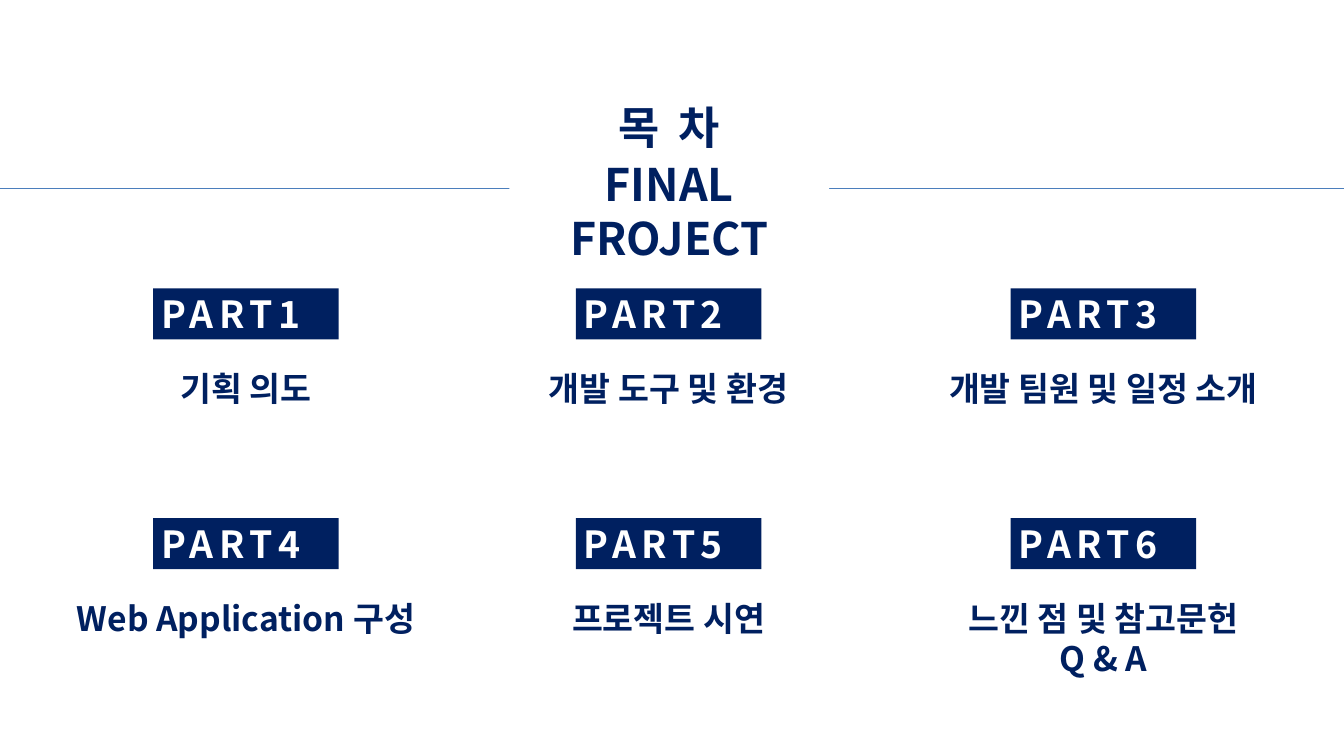
from lxml import etree
from pptx import Presentation
from pptx.dml.color import RGBColor
from pptx.enum.shapes import MSO_CONNECTOR, MSO_SHAPE
from pptx.enum.text import MSO_ANCHOR, PP_ALIGN
from pptx.oxml.ns import qn
from pptx.util import Inches, Pt

RECTANGLE = MSO_SHAPE.RECTANGLE
STRAIGHT = MSO_CONNECTOR.STRAIGHT
MIDDLE = MSO_ANCHOR.MIDDLE
LEFT, CENTER = PP_ALIGN.LEFT, PP_ALIGN.CENTER

# Content
HEADING = "목 차"
PROJECT = "FINAL FROJECT"
PARTS = [
    ["기획 의도"],
    ["개발 도구 및 환경"],
    ["개발 팀원 및 일정 소개"],
    ["Web Application 구성"],
    ["프로젝트 시연"],
    ["느낀 점 및 참고문헌", "Q & A"],
]

# Style and layout, in inches
COLORS = {"navy": "002060", "white": "FFFFFF", "rule": "4B7EBC"}
FONT = "Noto Sans CJK KR"
SLIDE_W, SLIDE_H = 20, 11.25
COLUMN_CENTERS = [3.66, 9.95, 16.42]
ROW_TOPS = [4.29, 7.71]
LABEL_W, LABEL_H = 2.76, 0.76
TOPIC_W, TOPIC_OFFSET = 6.54, 1.14
TOPIC_LINE_H = 0.6
RULE_Y = 2.8


def rgb(name):
    return RGBColor.from_string(COLORS[name])


def write(shape, lines, size, color, align=CENTER, tracking=0):
    frame = shape.text_frame
    frame.word_wrap = True
    frame.vertical_anchor = MIDDLE
    frame.text = "\n".join(lines)
    for paragraph in frame.paragraphs:
        paragraph.alignment = align
        font = paragraph.font
        font.name, font.size, font.bold = FONT, Pt(size), True
        font.color.rgb = rgb(color)
        for run in paragraph.runs:
            props = run._r.get_or_add_rPr()
            if tracking:
                props.set("spc", str(tracking * 100))
            etree.SubElement(props, qn("a:ea")).set("typeface", FONT)


def add_text(slide, left, top, width, height, *args, **kwargs):
    box = slide.shapes.add_textbox(
        Inches(left), Inches(top), Inches(width), Inches(height))
    write(box, *args, **kwargs)


def add_block(slide, left, top, width, height, fill):
    block = slide.shapes.add_shape(
        RECTANGLE, Inches(left), Inches(top), Inches(width), Inches(height))
    block.shadow.inherit = False
    block.fill.solid()
    block.fill.fore_color.rgb = rgb(fill)
    block.line.fill.background()
    return block


def main():
    prs = Presentation()
    prs.slide_width, prs.slide_height = Inches(SLIDE_W), Inches(SLIDE_H)
    slide = prs.slides.add_slide(prs.slide_layouts[6])

    # Heading, with a rule that passes behind the project name
    add_text(slide, 7.14, 1.43, 5.64, 0.91, [HEADING], 48, "navy", tracking=5)
    rule = slide.shapes.add_connector(
        STRAIGHT, 0, Inches(RULE_Y), Inches(SLIDE_W), Inches(RULE_Y))
    rule.line.color.rgb = rgb("rule")
    rule.line.width = Pt(0.75)
    etree.SubElement(rule._element.spPr, qn("a:effectLst"))
    project = add_block(slide, 7.58, 2.28, 4.76, 1.71, "white")
    write(project, [PROJECT], 48, "navy")

    # Grid of parts: label above topic
    for index, topic in enumerate(PARTS):
        row, column = divmod(index, len(COLUMN_CENTERS))
        center, top = COLUMN_CENTERS[column], ROW_TOPS[row]
        label = add_block(
            slide, center - LABEL_W / 2, top, LABEL_W, LABEL_H, "navy")
        label.text_frame.margin_left = Inches(0.12)
        write(label, [f"PART{index + 1}"], 40, "white", LEFT, tracking=6)
        add_text(slide, center - TOPIC_W / 2, top + TOPIC_OFFSET, TOPIC_W,
                 0.1 + TOPIC_LINE_H * len(topic), topic, 36, "navy")

    prs.save("out.pptx")


if __name__ == "__main__":
    main()
